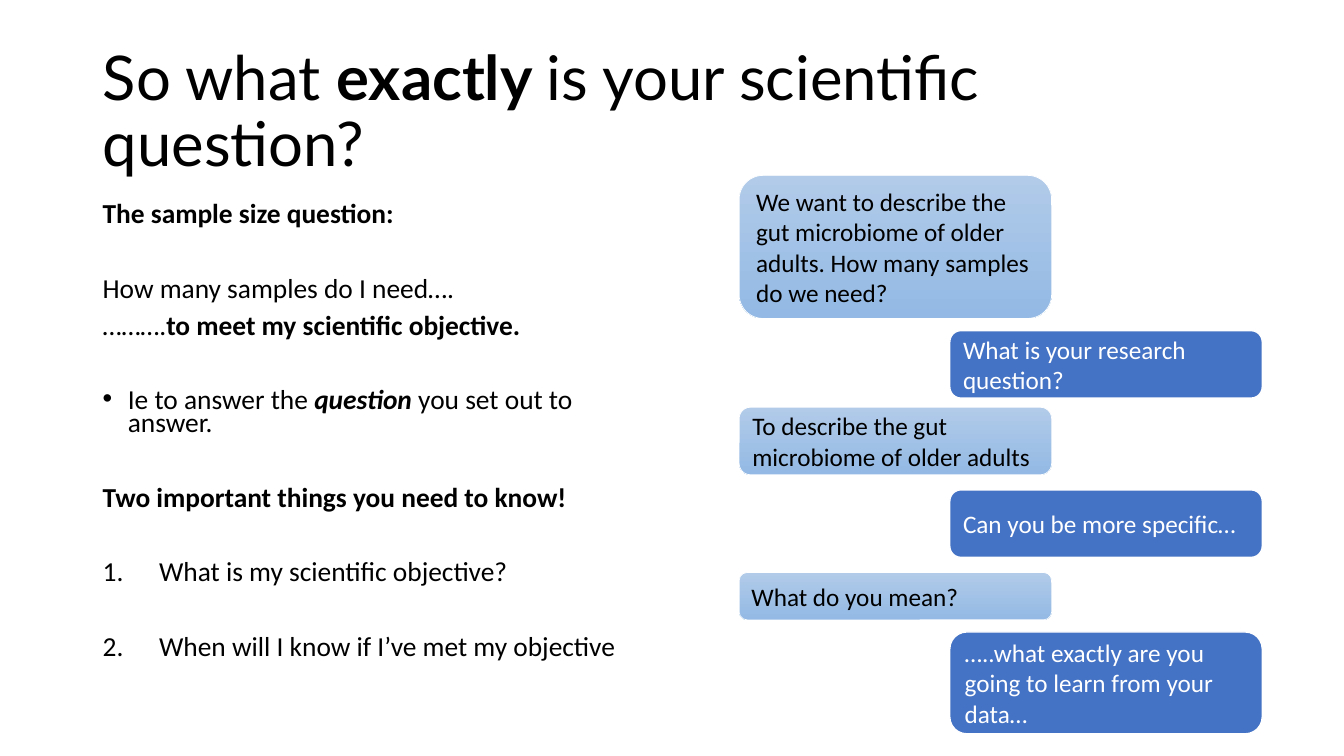
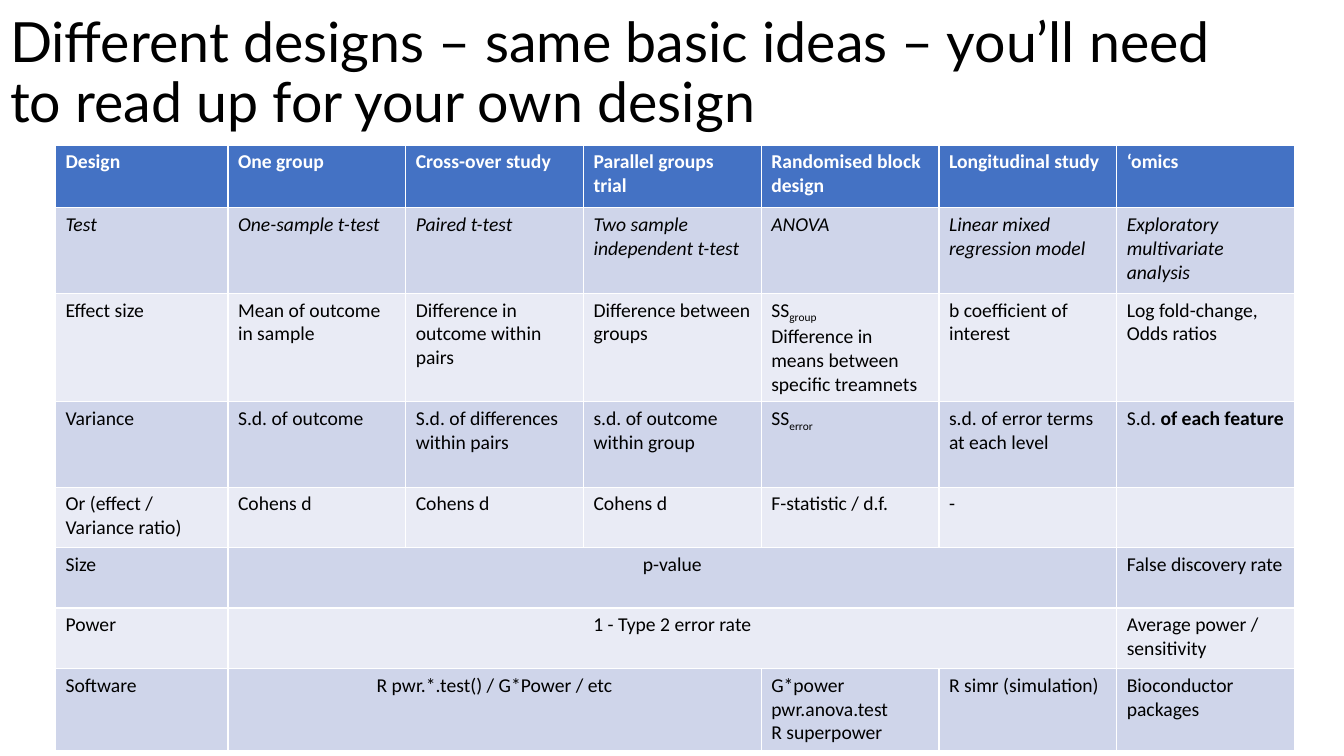
from lxml.etree import SubElement
from pptx import Presentation
from pptx.dml.color import RGBColor
from pptx.enum.shapes import MSO_SHAPE
from pptx.enum.text import MSO_ANCHOR, MSO_AUTO_SIZE, PP_ALIGN
from pptx.oxml.ns import qn
from pptx.util import Inches, Pt

SLIDE_WIDTH, SLIDE_HEIGHT = Inches(13.33), Inches(7.5)
TITLE_FONT, BODY_FONT = "Lato", "Calibri"
BLACK, WHITE, BLUE = "000000", "FFFFFF", "4472C4"
PALE_TOP, PALE_BOTTOM = "B1CBE9", "93B9E4"
BANDS = ["CFD5EA", "E9EBF5"]
TIGHT, WIDE = 10, 36.7
TITLE_ONLY = 5

STATEMENTS = [
    ([("The sample size question:", "bold")], 0, None),
    (["How many samples do I need…."], WIDE, None),
    (["……….", ("to meet my scientific objective.", "bold")], TIGHT, None),
    (["Ie to answer the ", ("question", "bold italic"), " you set out to answer."], WIDE, "dot"),
    ([("Two important things you need to know!", "bold")], WIDE, None),
    (["What is my scientific objective?"], WIDE, "number"),
    (["When will I know if I’ve met my objective"], WIDE, "number"),
]

CHAT = [
    ("We want to describe the gut microbiome of older adults. How many samples do we need?", 23.2, 18.93),
    ("What is your research question?", 43.73, 8.93),
    ("To describe the gut microbiome of older adults", 53.87, 8.93),
    ("Can you be more specific…", 64.8, 8.93),
    ("What do you mean?", 75.73, 6.27),
    ("…..what exactly are you going to learn from your data…", 83.6, 13.47),
]

DESIGNS = [
    ["Design", "One group", "Cross-over study", "Parallel groups trial",
     "Randomised block design", "Longitudinal study", "‘omics"],
    ["Test", "One-sample t-test", "Paired t-test", "Two sample independent t-test",
     "ANOVA", "Linear mixed regression model", ["Exploratory multivariate", "analysis"]],
    ["Effect size", "Mean of outcome in sample", "Difference in outcome within pairs",
     "Difference between groups",
     [["SS", ("group", "subscript")], "Difference in means between specific treamnets"],
     "b coefficient of interest", ["Log fold-change,", "Odds ratios"]],
    ["Variance", "S.d. of outcome", "S.d. of differences within pairs",
     "s.d. of outcome within group", [["SS", ("error", "subscript")]],
     "s.d. of error terms at each level", [["S.d. ", ("of each feature", "bold")]]],
    ["Or (effect / Variance ratio)", "Cohens d", "Cohens d", "Cohens d",
     "F-statistic / d.f.", "-", ""],
    ["Size", "p-value", None, None, None, None, "False discovery rate"],
    ["Power", "1 - Type 2 error rate", None, None, None, None, "Average power / sensitivity"],
    ["Software", "R pwr.*.test() / G*Power / etc", None, None,
     ["G*power", "pwr.anova.test", "R superpower"], "R simr (simulation)",
     "Bioconductor packages"],
]
ROW_SHARES = [8.27] + [11.33] * 3 + [8] * 4


def color(value):
    """Turn a hex string into a colour."""
    return RGBColor.from_string(value)


def across(share):
    """Return a percentage of the slide's width."""
    return round(SLIDE_WIDTH * share / 100)


def down(share):
    """Return a percentage of the slide's height."""
    return round(SLIDE_HEIGHT * share / 100)


def area(left, top, width, height):
    """Return a rectangle given in percentages of the slide."""
    return across(left), down(top), across(width), down(height)


def write(para, spans, size, ink=BLACK, name=BODY_FONT):
    """Fill a paragraph with plain strings and (text, style) spans."""
    para.font.name, para.font.size = name, Pt(size)
    para.font.color.rgb = color(ink)
    for item in [spans] if isinstance(spans, str) else spans:
        text, style = (item, "") if isinstance(item, str) else item
        if not text:
            continue
        span = para.add_run()
        span.text = text
        if "bold" in style:
            span.font.bold = True
        if "italic" in style:
            span.font.italic = True
        if "subscript" in style:
            span._r.get_or_add_rPr().set("baseline", "-25000")


def add_bullet(para, kind):
    """Give a paragraph a hanging dot or number."""
    properties = para._p.get_or_add_pPr()
    indent = Inches(0.25 if kind == "dot" else 0.56)
    properties.set("marL", str(indent))
    properties.set("indent", str(-indent))
    if kind == "dot":
        SubElement(properties, qn("a:buFont")).set("typeface", "Arial")
        SubElement(properties, qn("a:buChar")).set("char", "•")
    else:
        SubElement(properties, qn("a:buFont")).set("typeface", "+mj-lt")
        SubElement(properties, qn("a:buAutoNum")).set("type", "arabicPeriod")


def add_page(deck, spans, place, size):
    """Add a title-only slide and format its title."""
    page = deck.slides.add_slide(deck.slide_layouts[TITLE_ONLY])
    title = page.shapes.title
    title.left, title.top, title.width, title.height = area(*place)
    frame = title.text_frame
    frame.word_wrap = True
    frame.auto_size = MSO_AUTO_SIZE.NONE
    frame.vertical_anchor = MSO_ANCHOR.MIDDLE
    para = frame.paragraphs[0]
    para.alignment, para.line_spacing = PP_ALIGN.LEFT, 0.9
    write(para, spans, size, name=TITLE_FONT)
    return page


def add_statements(page, place):
    """Add the column of statements."""
    frame = page.shapes.add_textbox(*area(*place)).text_frame
    frame.word_wrap = True
    for index, (spans, gap, bullet) in enumerate(STATEMENTS):
        para = frame.add_paragraph() if index else frame.paragraphs[0]
        if bullet:
            add_bullet(para, bullet)
        para.line_spacing, para.space_before = 0.7, Pt(gap)
        write(para, spans, 19.6)


def add_bubble(page, text, place, is_reply):
    """Add one speech bubble of the chat."""
    box = page.shapes.add_shape(MSO_SHAPE.ROUNDED_RECTANGLE, *area(*place))
    box.shadow.inherit = False
    if is_reply:
        box.fill.solid()
        box.fill.fore_color.rgb = color(BLUE)
    else:
        box.fill.gradient()
        box.fill.gradient_angle = 270
        for stop, shade in zip(box.fill.gradient_stops, [PALE_TOP, PALE_BOTTOM]):
            stop.color.rgb = color(shade)
    box.line.color.rgb = color(WHITE)
    box.line.width = Pt(1 if is_reply else 0.5)
    frame = box.text_frame
    frame.word_wrap = True
    frame.vertical_anchor = MSO_ANCHOR.MIDDLE
    para = frame.paragraphs[0]
    para.alignment = PP_ALIGN.LEFT
    write(para, text, 18, WHITE if is_reply else BLACK)


def fill_cell(cell, content, row, is_merged):
    """Write and colour one cell of the design table."""
    cell.fill.solid()
    cell.fill.fore_color.rgb = color(BANDS[(row - 1) % 2] if row else BLUE)
    frame = cell.text_frame
    for index, spans in enumerate([content] if isinstance(content, str) else content):
        para = frame.add_paragraph() if index else frame.paragraphs[0]
        para.alignment = PP_ALIGN.CENTER if is_merged else PP_ALIGN.LEFT
        write(para, spans, 14, BLACK if row else WHITE)
        para.font.bold, para.font.italic = row == 0, row == 1


def add_designs(page, left, top, width, first_width):
    """Add the design table, merging each None into the cell before it."""
    column_count = len(DESIGNS[0])
    place = area(left, top, width, sum(ROW_SHARES))
    table = page.shapes.add_table(len(DESIGNS), column_count, *place).table
    other_width = (width - first_width) / (column_count - 1)
    for index, column in enumerate(table.columns):
        column.width = across(other_width if index else first_width)
    for row, (contents, share) in enumerate(zip(DESIGNS, ROW_SHARES)):
        table.rows[row].height = down(share)
        for start, content in enumerate(contents):
            if content is None:
                continue
            end = start
            while end + 1 < column_count and contents[end + 1] is None:
                end += 1
            cell = table.cell(row, start)
            if end > start:
                cell.merge(table.cell(row, end))
            fill_cell(cell, content, row, end > start)


def main():
    """Build and save the deck."""
    deck = Presentation()
    deck.slide_width, deck.slide_height = SLIDE_WIDTH, SLIDE_HEIGHT

    question = ["So what ", ("exactly ", "bold"), "is your scientific question?"]
    page = add_page(deck, question, (6.9, 5.33, 86.25, 19.33), 44)
    add_statements(page, (6.9, 26.53, 40.75, 68.13))
    for index, (text, top, height) in enumerate(CHAT):
        is_reply = index % 2 == 1
        add_bubble(page, text, (70.67 if is_reply else 55, top, 23.25, height), is_reply)

    heading = "Different designs – same basic ideas – you’ll need to read up for your own design"
    page = add_page(deck, heading, (0, 2.53, 95.5, 14.67), 39.6)
    add_designs(page, 4.13, 19.2, 92.2, 12.83)

    deck.save("out.pptx")


if __name__ == "__main__":
    main()
